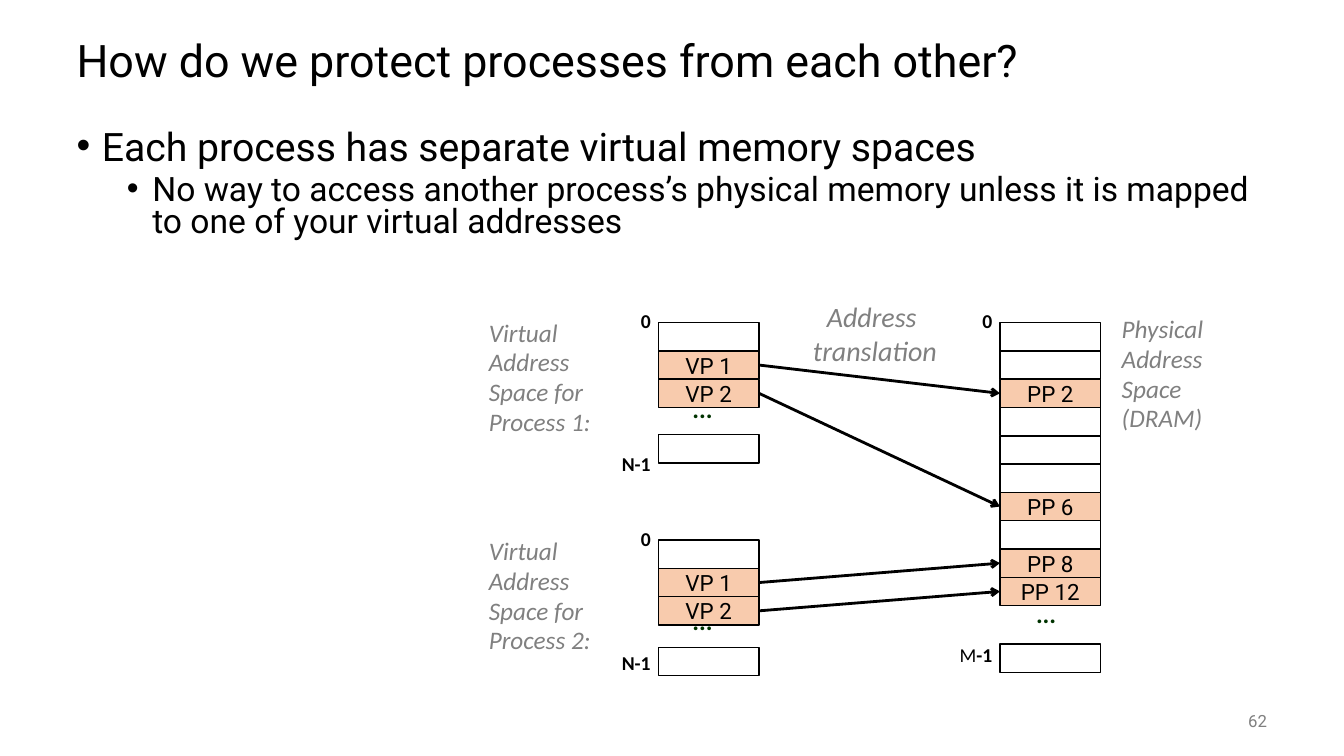
from dataclasses import dataclass
from lxml.etree import SubElement
from pptx import Presentation
from pptx.dml.color import RGBColor
from pptx.enum.shapes import MSO_CONNECTOR as Connector, MSO_SHAPE as Shape
from pptx.enum.text import MSO_ANCHOR as Anchor, PP_ALIGN as Align
from pptx.oxml.ns import qn
from pptx.util import Cm, Pt


@dataclass(frozen=True)
class Theme:
    black: str = "000000"
    gray: str = "808080"
    green: str = "003300"
    peach: str = "F8CBAD"
    sans: str = "Roboto"
    label: str = "Calibri"
    title: int = 32
    bullet: int = 28
    sub_bullet: int = 24
    caption: int = 20
    note: int = 18
    cell: int = 16
    address: int = 14
    number: int = 12


THEME = Theme()

TITLE = "How do we protect processes from each other?"
BULLETS = [
    ("Each process has separate virtual memory spaces", THEME.bullet, 0.64, 0),
    ("No way to access another process’s physical memory unless it is mapped "
     "to one of your virtual addresses", THEME.sub_bullet, 1.91, 5),
]
SLIDE_NUMBER = "62"
CAPTION = ["Address ", "translation"]
NOTES = [
    (["Virtual Address Space for Process 1:"], 12.07, 7.9, 3.81),
    (["Virtual Address Space for Process 2:"], 12.07, 13.41, 3.81),
    (["Physical", "Address", "Space (DRAM)"], 28.02, 7.82, 2.97),
]

VIRTUAL_PAGES = ["", "VP 1", "VP 2"]
PHYSICAL_PAGES = ["", "", "PP 2", "", "", "", "PP 6", "", "PP 8", "PP 12"]
LAST_VIRTUAL = [("N-1", True)]
LAST_PHYSICAL = [("M", False), ("-1", True)]
# name: pages, left, top, last cell top, last label, label width, label top, dots left, dots top
COLUMNS = {
    "process 1": (VIRTUAL_PAGES, 16.59, 8.13, 10.95, LAST_VIRTUAL, 1.24, 11.3, 17.2, 9.88),
    "process 2": (VIRTUAL_PAGES, 16.59, 13.61, 16.31, LAST_VIRTUAL, 1.24, 16.31, 17.2, 15.24),
    "memory": (PHYSICAL_PAGES, 25.2, 8.13, 16.23, LAST_PHYSICAL, 1.35, 16.1, 25.86, 15.04),
}
MAPPINGS = [
    ("process 1", "VP 1", "PP 2"),
    ("process 1", "VP 2", "PP 6"),
    ("process 2", "VP 1", "PP 8"),
    ("process 2", "VP 2", "PP 12"),
]
CELL_WIDTH, CELL_HEIGHT = 2.54, 0.713
ZERO_WIDTH, ZERO_RISE, LABEL_OVERLAP = 0.79, 0.43, 0.06


def style(font, size, color, name, bold=False, italic=False):
    font.size, font.name = Pt(size), name
    font.bold, font.italic = bold, italic
    font.color.rgb = RGBColor.from_string(color)


def add_text(page, place, lines, size, color, name, align=Align.LEFT, spacing=1.0,
             anchor=Anchor.TOP, wrap=True, bold=False, italic=False):
    box = page.shapes.add_textbox(*map(Cm, place))
    frame = box.text_frame
    frame.word_wrap, frame.vertical_anchor = wrap, anchor
    frame.text = "\n".join(lines)
    for para in frame.paragraphs:
        para.alignment, para.line_spacing = align, spacing
        for span in para.runs:
            style(span.font, size, color, name, bold, italic)
    return box


def add_bullets(page):
    frame = add_text(page, (1.68, 3.18, 30.48, 3.25), [line[0] for line in BULLETS],
                     THEME.bullet, THEME.black, THEME.sans, spacing=0.8).text_frame
    for level, (para, (_, size, margin, before)) in enumerate(zip(frame.paragraphs, BULLETS)):
        para.level = level
        para.space_before = Pt(before)
        props = para._p.get_or_add_pPr()
        props.set("marL", str(Cm(margin)))
        props.set("indent", str(-Cm(0.64)))
        SubElement(props, qn("a:buFont"), typeface="Arial")
        SubElement(props, qn("a:buChar"), char="•")
        para.runs[0].font.size = Pt(size)


def add_cell(page, left, top, text=""):
    cell = page.shapes.add_shape(
        Shape.RECTANGLE, *map(Cm, (left, top, CELL_WIDTH, CELL_HEIGHT)))
    cell.shadow.inherit = False
    cell.line.color.rgb = RGBColor.from_string(THEME.black)
    cell.line.width = Pt(1)
    if not text:
        cell.fill.background()
        return cell
    cell.fill.solid()
    cell.fill.fore_color.rgb = RGBColor.from_string(THEME.peach)
    frame = cell.text_frame
    frame.margin_top = frame.margin_bottom = 0
    frame.vertical_anchor = Anchor.MIDDLE
    frame.text = text
    para = frame.paragraphs[0]
    para.alignment = Align.CENTER
    style(para.runs[0].font, THEME.cell, THEME.black, THEME.sans)
    return cell


def add_address(page, column_left, top, width, parts):
    left = column_left + LABEL_OVERLAP - width
    box = add_text(page, (left, top, width, 0.84), [""], THEME.address, THEME.black,
                   THEME.label, Align.RIGHT, 0.98, wrap=False)
    for text, bold in parts:
        span = box.text_frame.paragraphs[0].add_run()
        span.text = text
        style(span.font, THEME.address, THEME.black, THEME.label, bold)


def add_column(page, pages, left, top, last_top, last, width, label_top, dots_left, dots_top):
    cells = {}
    for row, text in enumerate(pages):
        cells[text] = add_cell(page, left, top + row * CELL_HEIGHT, text)
    add_cell(page, left, last_top)
    add_address(page, left, top - ZERO_RISE, ZERO_WIDTH, [("0", True)])
    add_address(page, left, label_top, width, last)
    add_text(page, (dots_left, dots_top, 1.02, 0.91), ["..."], THEME.note, THEME.green,
             THEME.label, spacing=0.88, wrap=False, bold=True)
    return cells


def add_arrow(page, source, target):
    arrow = page.shapes.add_connector(Connector.STRAIGHT, 0, 0, 0, 0)
    arrow.begin_connect(source, 3)
    arrow.end_connect(target, 1)
    arrow.line.color.rgb = RGBColor.from_string(THEME.black)
    arrow.line.width = Pt(2)
    SubElement(arrow.line._get_or_add_ln(), qn("a:tailEnd"), type="arrow")
    SubElement(arrow._element.spPr, qn("a:effectLst"))


def main():
    deck = Presentation()
    deck.slide_width, deck.slide_height = Cm(33.87), Cm(19.05)
    page = deck.slides.add_slide(deck.slide_layouts[6])
    add_text(page, (1.68, 0.64, 30.48, 1.9), [TITLE], THEME.title, THEME.black,
             THEME.sans, spacing=0.9, anchor=Anchor.MIDDLE)
    add_bullets(page)
    add_text(page, (29.64, 17.65, 2.54, 1.02), [SLIDE_NUMBER], THEME.number, THEME.gray,
             THEME.sans, Align.RIGHT, anchor=Anchor.MIDDLE)
    for lines, left, top, width in NOTES:
        add_text(page, (left, top, width, 3.26), lines, THEME.note, THEME.gray,
                 THEME.label, spacing=0.98, italic=True)
    columns = {name: add_column(page, *column) for name, column in COLUMNS.items()}
    for process, virtual, physical in MAPPINGS:
        add_arrow(page, columns[process][virtual], columns["memory"][physical])
    add_text(page, (20.17, 7.42, 3.76, 1.96), CAPTION, THEME.caption, THEME.gray,
             THEME.label, Align.CENTER, wrap=False, italic=True)
    deck.save("out.pptx")


if __name__ == "__main__":
    main()
